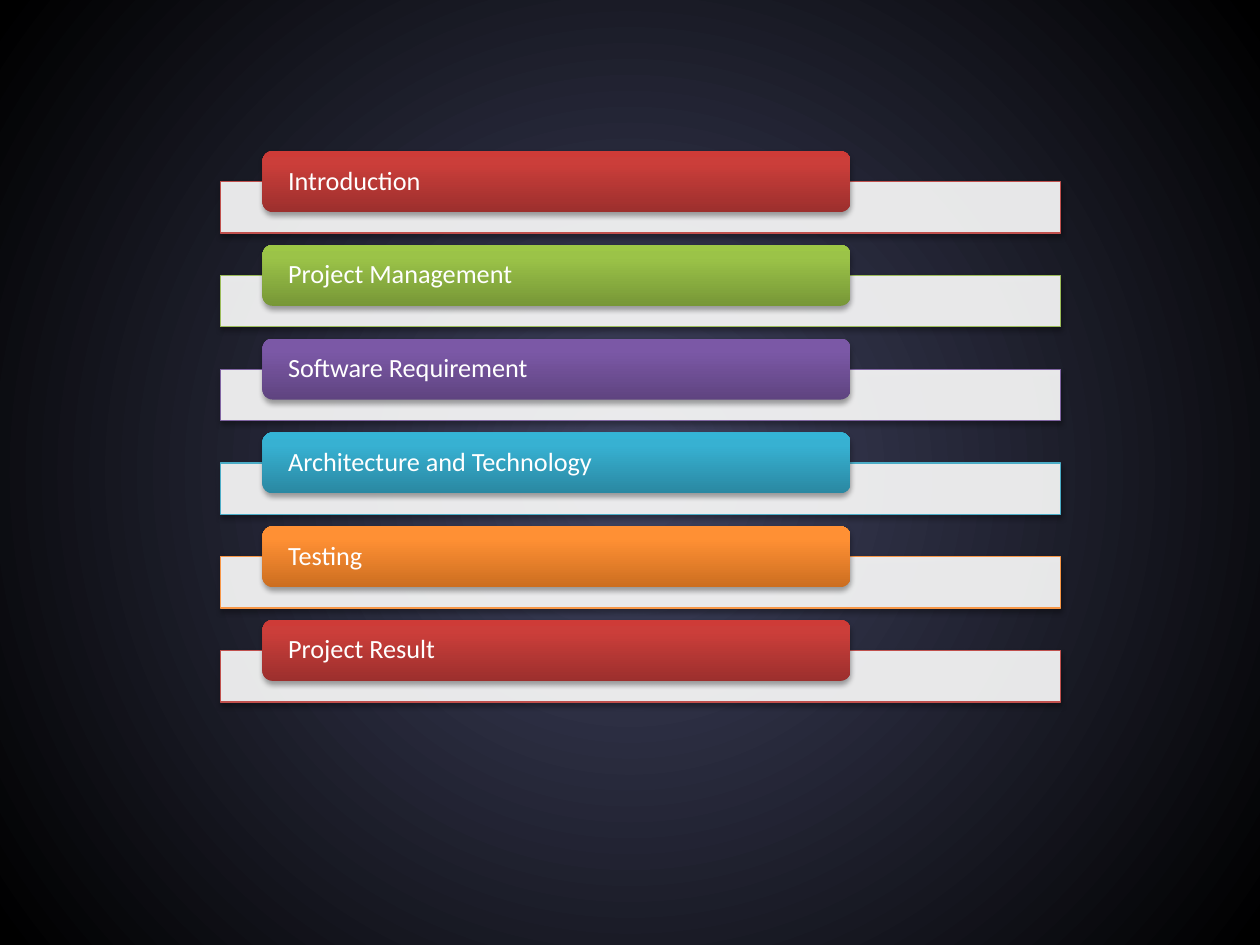
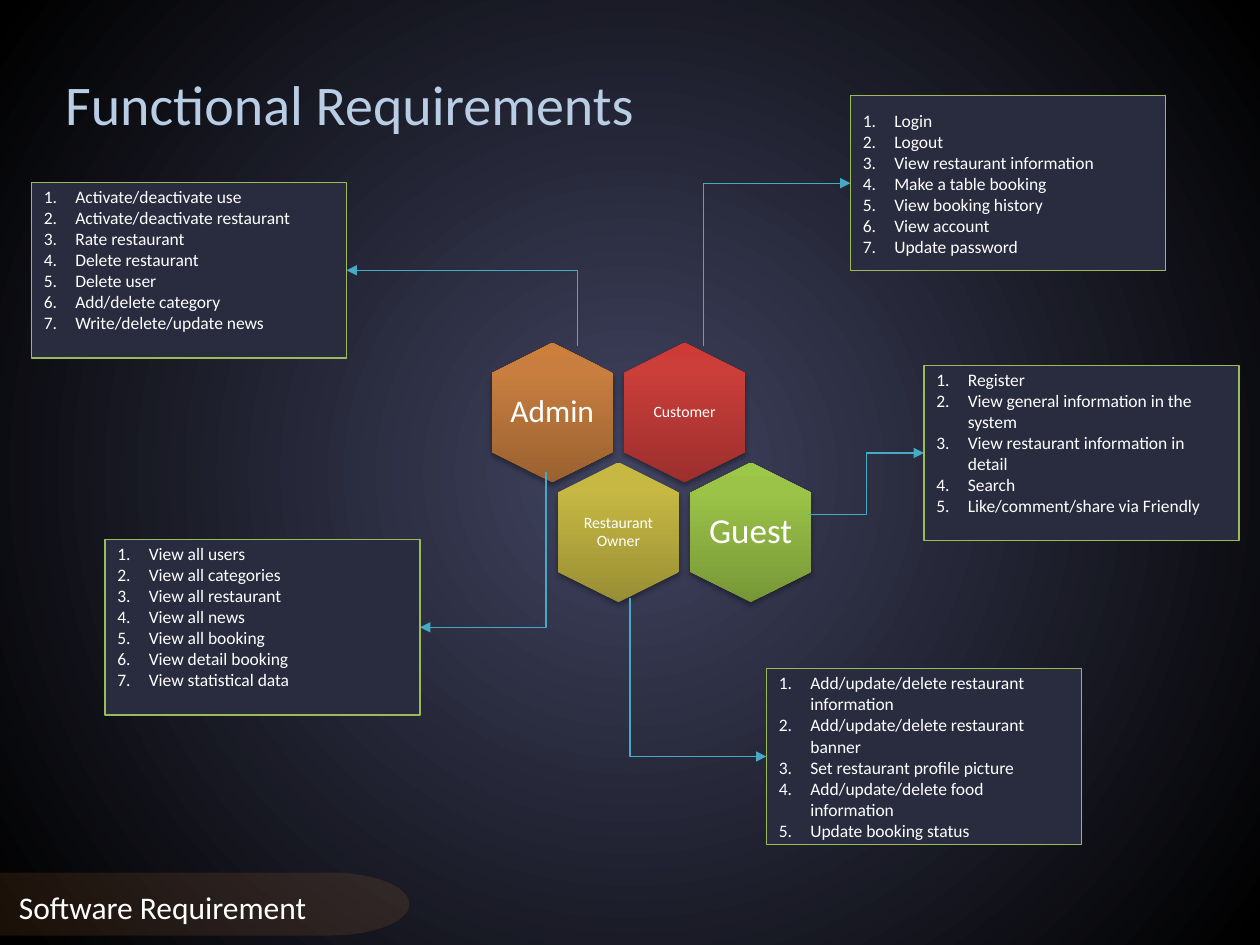
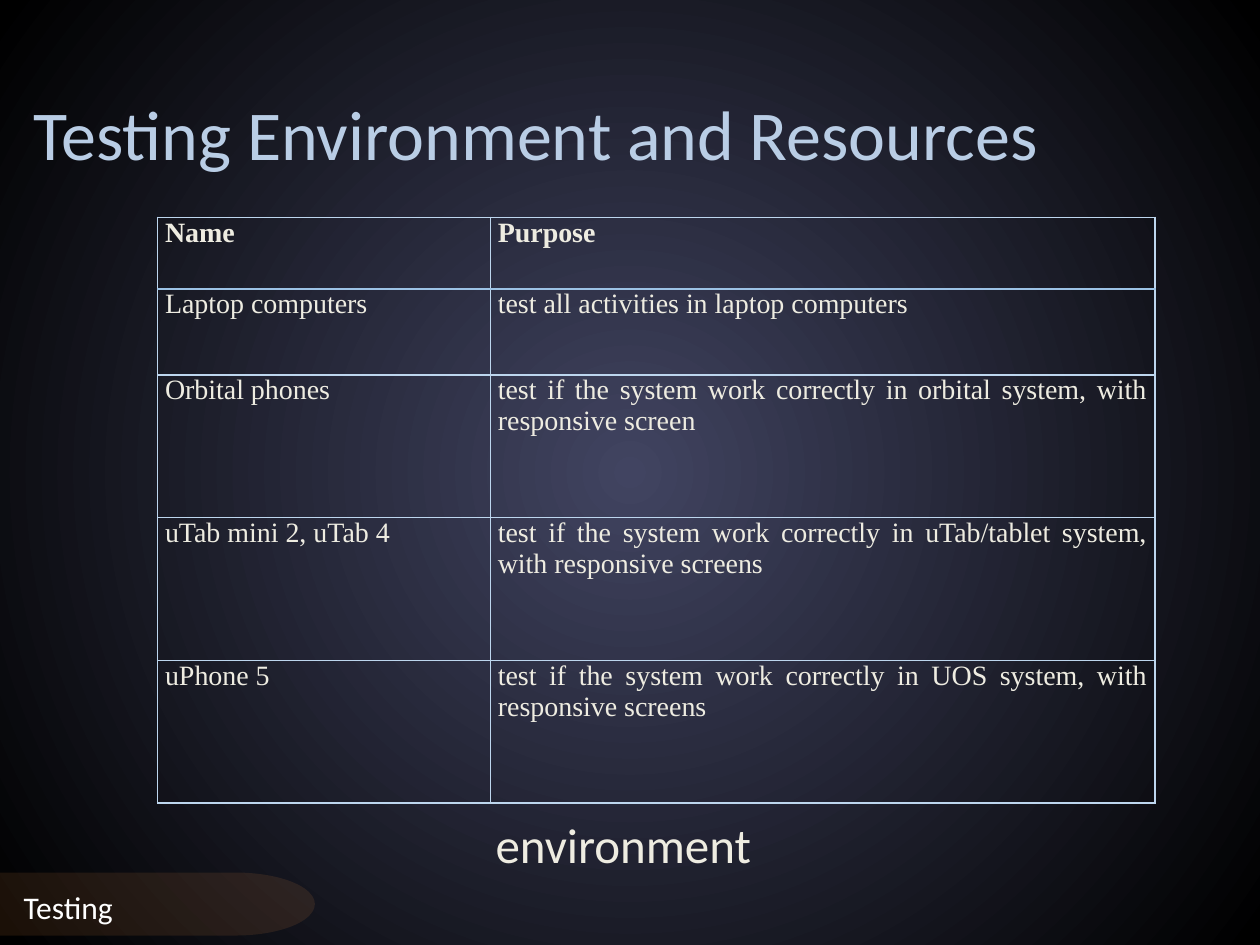
from dataclasses import dataclass

from pptx import Presentation
from pptx.dml.color import RGBColor
from pptx.enum.shapes import MSO_CONNECTOR, MSO_SHAPE
from pptx.enum.text import MSO_ANCHOR, MSO_AUTO_SIZE, PP_ALIGN
from pptx.oxml import parse_xml
from pptx.oxml.ns import nsdecls, qn
from pptx.oxml.xmlchemy import OxmlElement
from pptx.util import Emu, Inches, Pt

COLUMNS, ROWS = 120, 90
UNIT = Inches(10) / COLUMNS


@dataclass(frozen=True)
class Accent:
    line: str
    stops: tuple[tuple[int, str], ...]


def accent(line: str, dark: str, mid: str, light: str) -> Accent:
    return Accent(line, ((0, dark), (80, mid), (100, light)))


@dataclass(frozen=True)
class Theme:
    font: str = "Calibri"
    table_font: str = "Times New Roman"
    white: str = "FFFFFF"
    cream: str = "EEECE1"
    title: str = "B9CDE5"
    card: str = "292B3E"
    connector: str = "46AAC5"
    footer: str = "F79646"
    border: str = "BDD6EE"
    header_border: str = "9CC2E5"
    backdrop: tuple[tuple[int, str], ...] = ((0, "414461"), (99, "000000"))
    red: Accent = accent("C0504D", "9C2F2D", "CB3E3A", "CE3B37")
    green: Accent = accent("9BBB59", "779737", "9BC348", "9DC746")
    purple: Accent = accent("8064A2", "5F4480", "7B58A6", "7C57A8")
    blue: Accent = accent("4BACC6", "2A88A2", "37B1D2", "34B4D6")
    orange: Accent = accent("F79646", "CC6E20", "FF9034", "FF9136")
    copper: Accent = accent("C0504D", "9A6130", "C87E3F", "CC7E3C")
    gold: Accent = accent("C0504D", "988E34", "C6B843", "C9BB41")
    list_size: int = 10
    agenda_size: int = 15
    table_size: int = 16
    footer_size: int = 18
    caption_size: int = 28
    thin: float = 0.75


THEME = Theme()


@dataclass(frozen=True)
class Box:
    left: float
    top: float
    width: float
    height: float

    def emu(self) -> tuple[Emu, ...]:
        return tuple(grid(v) for v in (self.left, self.top, self.width, self.height))


@dataclass(frozen=True)
class Role:
    name: str
    size: int
    colour: Accent
    column: float
    row: int


@dataclass(frozen=True)
class Card:
    left: float
    top: float
    start: tuple[float, float]
    items: tuple[str, ...]
    bend: float = 0
    spare_line: bool = False


AGENDA = (
    ("Introduction", THEME.red),
    ("Project Management", THEME.green),
    ("Software Requirement", THEME.purple),
    ("Architecture and Technology", THEME.blue),
    ("Testing", THEME.orange),
    ("Project Result", THEME.red),
)

ROLES = (
    Role("Customer", 9, THEME.red, 1, 0),
    Role("Admin", 18, THEME.copper, 0, 0),
    Role("Restaurant Owner", 9, THEME.gold, 0.5, 1),
    Role("Guest", 20, THEME.green, 1.5, 1),
)

CARDS = (
    Card(3, 17.4, (55, 33), (
        "Activate/deactivate use", "Activate/deactivate restaurant",
        "Rate restaurant", "Delete restaurant", "Delete user",
        "Add/delete category", "Write/delete/update news"), spare_line=True),
    Card(10, 51.4, (52, 45), (
        "View all users", "View all categories", "View all restaurant",
        "View all news", "View all booking", "View detail booking",
        "View statistical data"), spare_line=True),
    Card(81, 9.1, (67, 33), (
        "Login", "Logout", "View restaurant information",
        "Make a table booking", "View booking history", "View account",
        "Update password")),
    Card(73, 63.7, (60, 57), (
        "Add/update/delete restaurant information",
        "Add/update/delete restaurant banner",
        "Set restaurant profile picture",
        "Add/update/delete food information", "Update booking status")),
    Card(88, 34.8, (77, 49), (
        "Register", "View general information in the system",
        "View restaurant information in detail", "Search",
        "Like/comment/share via Friendly"), bend=0.5, spare_line=True),
)

DEVICES = (
    ("Name", "Purpose"),
    ("Laptop computers", "test all activities in laptop computers"),
    ("Orbital phones",
     "test if the system work correctly in orbital system, with responsive screen"),
    ("uTab mini 2, uTab 4",
     "test if the system work correctly in uTab/tablet system, with responsive screens"),
    ("uPhone 5",
     "test if the system work correctly in UOS system, with responsive screens"),
)


def grid(units: float) -> Emu:
    return Emu(round(units * UNIT))


def gradient(stops, direction: str):
    marks = "".join(
        f'<a:gs pos="{pos * 1000}"><a:srgbClr val="{colour}"/></a:gs>'
        for pos, colour in stops)
    return parse_xml(
        f'<a:gradFill {nsdecls("a")} rotWithShape="0">'
        f'<a:gsLst>{marks}</a:gsLst>{direction}</a:gradFill>')


def replace_solid(parent, fill) -> None:
    solid = parent.find(qn("a:solidFill"))
    parent.replace(solid, fill)


def set_backdrop(prs) -> None:
    prs.slide_master.background.fill.solid()
    bg_pr = prs.slide_master.element.find(".//" + qn("p:bgPr"))
    for child in list(bg_pr):
        bg_pr.remove(child)
    bg_pr.append(gradient(
        THEME.backdrop,
        '<a:path path="circle"><a:fillToRect l="50000" t="50000" '
        'r="50000" b="50000"/></a:path>'))
    bg_pr.append(OxmlElement("a:effectLst"))


def add_run(p, text: str, size: int, colour: str = THEME.white,
            font: str = THEME.font, bold: bool = False) -> None:
    r = p.add_run()
    r.text = text
    r.font.name = font
    r.font.size = Pt(size)
    r.font.bold = bold
    r.font.color.rgb = RGBColor.from_string(colour)


def set_margins(frame, left: float, top: float, right: float, bottom: float) -> None:
    frame.margin_left, frame.margin_top = Inches(left), Inches(top)
    frame.margin_right, frame.margin_bottom = Inches(right), Inches(bottom)


def add_box(slide, kind, box: Box, fill: str, line: str | None = None,
            opacity: int = 100):
    sp = slide.shapes.add_shape(kind, *box.emu())
    sp.shadow.inherit = False
    sp.fill.solid()
    sp.fill.fore_color.rgb = RGBColor.from_string(fill)
    if opacity < 100:
        alpha = OxmlElement("a:alpha")
        alpha.set("val", str(opacity * 1000))
        sp.element.spPr.find(qn("a:solidFill"))[0].append(alpha)
    if line:
        sp.line.color.rgb = RGBColor.from_string(line)
        sp.line.width = Pt(THEME.thin)
    else:
        sp.line.fill.background()
    return sp


def add_shadow(sp) -> None:
    sp.element.spPr.find(qn("a:effectLst")).append(parse_xml(
        f'<a:outerShdw {nsdecls("a")} blurRad="{Pt(3.1)}" dist="{Pt(1.8)}" '
        'dir="5400000" rotWithShape="0"><a:srgbClr val="000000">'
        '<a:alpha val="35000"/></a:srgbClr></a:outerShdw>'))


def add_glossy(slide, kind, box: Box, colour: Accent):
    sp = add_box(slide, kind, box, colour.line)
    replace_solid(sp.element.spPr,
                  gradient(colour.stops, '<a:lin ang="16200000" scaled="0"/>'))
    add_shadow(sp)
    return sp


def place_text(sp, box: Box, text: str, size: int, colour: str):
    sp.left, sp.top, sp.width, sp.height = box.emu()
    tf = sp.text_frame
    tf.word_wrap = True
    tf.auto_size = MSO_AUTO_SIZE.NONE
    tf.vertical_anchor = MSO_ANCHOR.TOP
    p = tf.paragraphs[0]
    p.alignment = PP_ALIGN.LEFT
    add_run(p, text, size, colour)
    return p


def add_footer(slide, text: str, left: float) -> None:
    sp = add_box(slide, MSO_SHAPE.FLOWCHART_TERMINATOR, Box(left, 83.1, 47, 6),
                 THEME.footer, opacity=11)
    sp.text_frame.vertical_anchor = MSO_ANCHOR.TOP
    p = sp.text_frame.paragraphs[0]
    p.alignment = PP_ALIGN.CENTER
    add_run(p, text, THEME.footer_size)


def add_agenda_row(slide, index: int, text: str, colour: Accent) -> None:
    top = 14.4 + index * 8.93
    bar = add_box(slide, MSO_SHAPE.RECTANGLE, Box(21, top + 2.9, 80, 4.9),
                  THEME.white, colour.line, 90)
    add_shadow(bar)
    pill = add_glossy(slide, MSO_SHAPE.ROUNDED_RECTANGLE,
                      Box(25, top, 56, 5.8), colour)
    tf = pill.text_frame
    tf.vertical_anchor = MSO_ANCHOR.MIDDLE
    set_margins(tf, 0.18, 0, 0.18, 0)
    p = tf.paragraphs[0]
    p.alignment = PP_ALIGN.LEFT
    p.line_spacing = 0.9
    add_run(p, text, THEME.agenda_size)


def add_role(slide, role: Role) -> None:
    x, y = 52.6 + role.column * 12.6, 39.3 + role.row * 11.4
    length, breadth = 13.3, 11.6
    hexagon = add_glossy(slide, MSO_SHAPE.HEXAGON,
                         Box(x - length / 2, y - breadth / 2, length, breadth),
                         role.colour)
    hexagon.rotation = 90
    hexagon.adjustments[0] = 0.25
    hexagon.adjustments[1] = 1.15
    label = slide.shapes.add_textbox(*Box(x - 4.1, y - 4.6, 8.2, 9.2).emu())
    tf = label.text_frame
    tf.word_wrap = True
    tf.vertical_anchor = MSO_ANCHOR.MIDDLE
    set_margins(tf, 0, 0, 0, 0)
    p = tf.paragraphs[0]
    p.alignment = PP_ALIGN.CENTER
    p.line_spacing = 0.9
    add_run(p, role.name, role.size)


def add_arrow(slide, start: tuple[float, float], end: tuple[float, float],
              bend: float) -> None:
    cxn = slide.shapes.add_connector(
        MSO_CONNECTOR.ELBOW, *(grid(v) for v in (*start, *end)))
    cxn.line.color.rgb = RGBColor.from_string(THEME.connector)
    cxn.line.width = Pt(THEME.thin)
    sp_pr = cxn.element.spPr
    guide = OxmlElement("a:gd")
    guide.set("name", "adj1")
    guide.set("fmla", f"val {round(bend * 100000)}")
    sp_pr.find(".//" + qn("a:avLst")).append(guide)
    tail = OxmlElement("a:tailEnd")
    tail.set("type", "triangle")
    sp_pr.find(qn("a:ln")).append(tail)
    sp_pr.append(OxmlElement("a:effectLst"))


def add_card(slide, card: Card) -> None:
    box = Box(card.left, card.top, 30, 16.7)
    near_side = box.left if card.start[0] < box.left else box.left + box.width
    add_arrow(slide, card.start, (near_side, box.top + box.height / 2), card.bend)
    sp = add_box(slide, MSO_SHAPE.RECTANGLE, box, THEME.card, THEME.green.line)
    tf = sp.text_frame
    tf.vertical_anchor = MSO_ANCHOR.MIDDLE
    set_margins(tf, 0.1, 0.05, 0.1, 0.22 if card.spare_line else 0.05)
    for i, item in enumerate(card.items):
        p = tf.add_paragraph() if i else tf.paragraphs[0]
        p.alignment = PP_ALIGN.LEFT
        p_pr = p._p.get_or_add_pPr()
        p_pr.set("marL", str(Inches(0.25)))
        p_pr.set("indent", str(-Inches(0.25)))
        number = OxmlElement("a:buAutoNum")
        number.set("type", "arabicPeriod")
        p_pr.append(number)
        add_run(p, item, THEME.list_size)


def set_border(cell, side: str, colour: str, width: float) -> None:
    cell._tc.get_or_add_tcPr().append(parse_xml(
        f'<a:ln{side} {nsdecls("a")} w="{Pt(width)}"><a:solidFill>'
        f'<a:srgbClr val="{colour}"/></a:solidFill></a:ln{side}>'))


def add_device_table(slide) -> None:
    widths, heights = (31.7, 63.3), (6.8, 8.2, 13.6, 13.6, 13.6)
    box = Box(15, 20.7, sum(widths), sum(heights))
    table = slide.shapes.add_table(len(heights), len(widths), *box.emu()).table
    table.first_row = table.horz_banding = False
    for column, width in zip(table.columns, widths):
        column.width = grid(width)
    for row, height in zip(table.rows, heights):
        row.height = grid(height)
    for i, texts in enumerate(DEVICES):
        for j, text in enumerate(texts):
            cell = table.cell(i, j)
            header_side = {0: "B", 1: "T"}.get(i)
            for side in "LRTB":
                if side == header_side:
                    set_border(cell, side, THEME.header_border, 1.5)
                else:
                    set_border(cell, side, THEME.border, 1)
            cell.fill.background()
            set_margins(cell, 0.06, 0, 0.06, 0)
            p = cell.text_frame.paragraphs[0]
            p.alignment = PP_ALIGN.JUSTIFY
            p.space_before, p.space_after = Pt(6), Pt(3)
            add_run(p, text, THEME.table_size, THEME.cream, THEME.table_font, i == 0)


def agenda_slide(prs) -> None:
    slide = prs.slides.add_slide(prs.slide_layouts[6])
    for i, (text, colour) in enumerate(AGENDA):
        add_agenda_row(slide, i, text, colour)


def requirements_slide(prs) -> None:
    slide = prs.slides.add_slide(prs.slide_layouts[5])
    place_text(slide.shapes.title, Box(5, 6, 57, 7.7),
               "Functional Requirements", 32, THEME.title)
    for role in ROLES:
        add_role(slide, role)
    for card in CARDS:
        add_card(slide, card)
    add_footer(slide, "Software Requirement", -8)


def testing_slide(prs) -> None:
    slide = prs.slides.add_slide(prs.slide_layouts[1])
    place_text(slide.shapes.title, Box(2, 8, 106, 11),
               "Testing Environment and Resources", 40, THEME.title)
    p = place_text(slide.placeholders[1], Box(46, 77, 52.7, 9),
                   "environment", THEME.caption_size, THEME.cream)
    p_pr = p._p.get_or_add_pPr()
    p_pr.set("marL", "0")
    p_pr.set("indent", "0")
    p_pr.append(OxmlElement("a:buNone"))
    add_device_table(slide)
    add_footer(slide, "Testing", -17)


def main() -> None:
    prs = Presentation()
    prs.slide_width, prs.slide_height = grid(COLUMNS), grid(ROWS)
    set_backdrop(prs)
    agenda_slide(prs)
    requirements_slide(prs)
    testing_slide(prs)
    prs.save("out.pptx")


if __name__ == "__main__":
    main()
